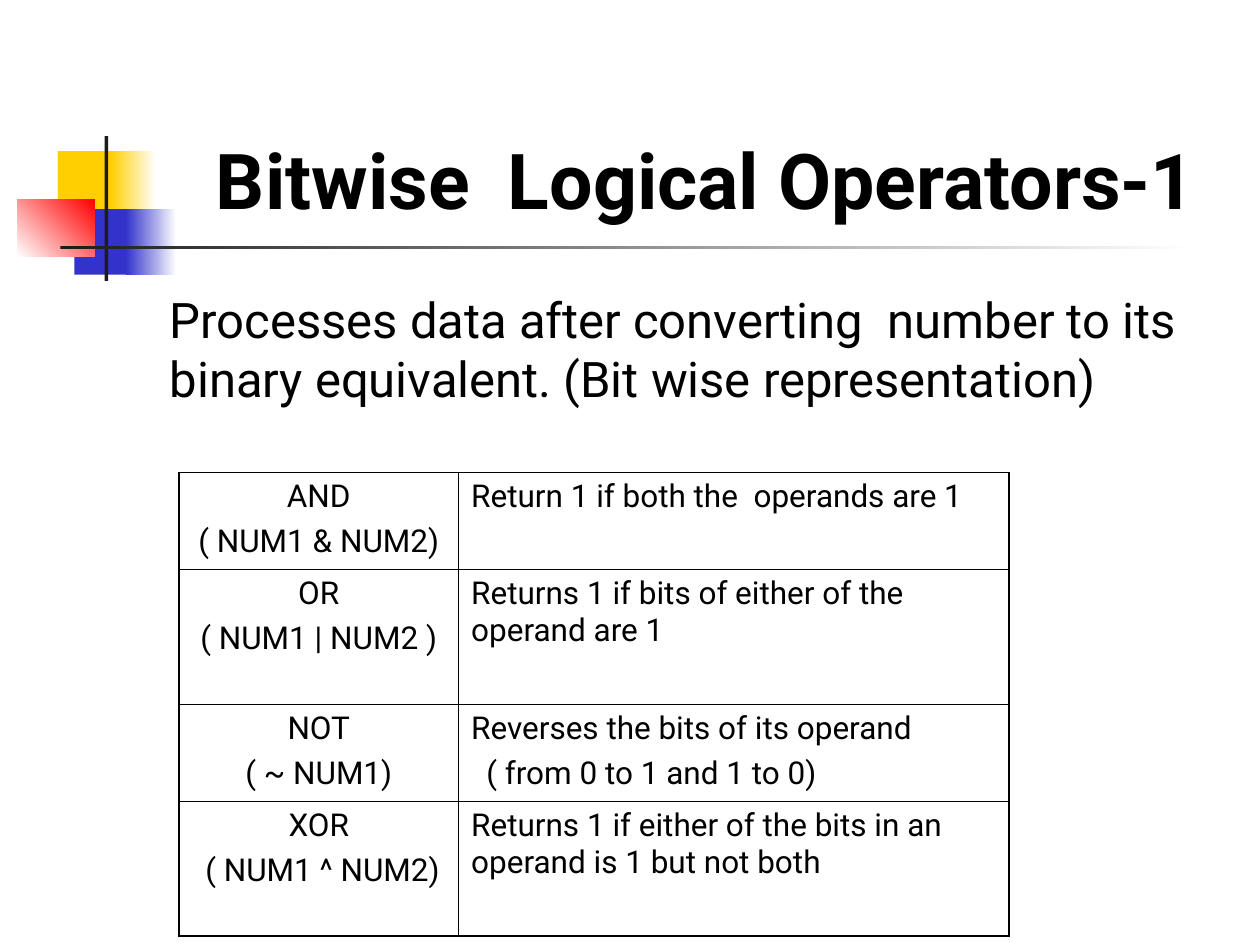
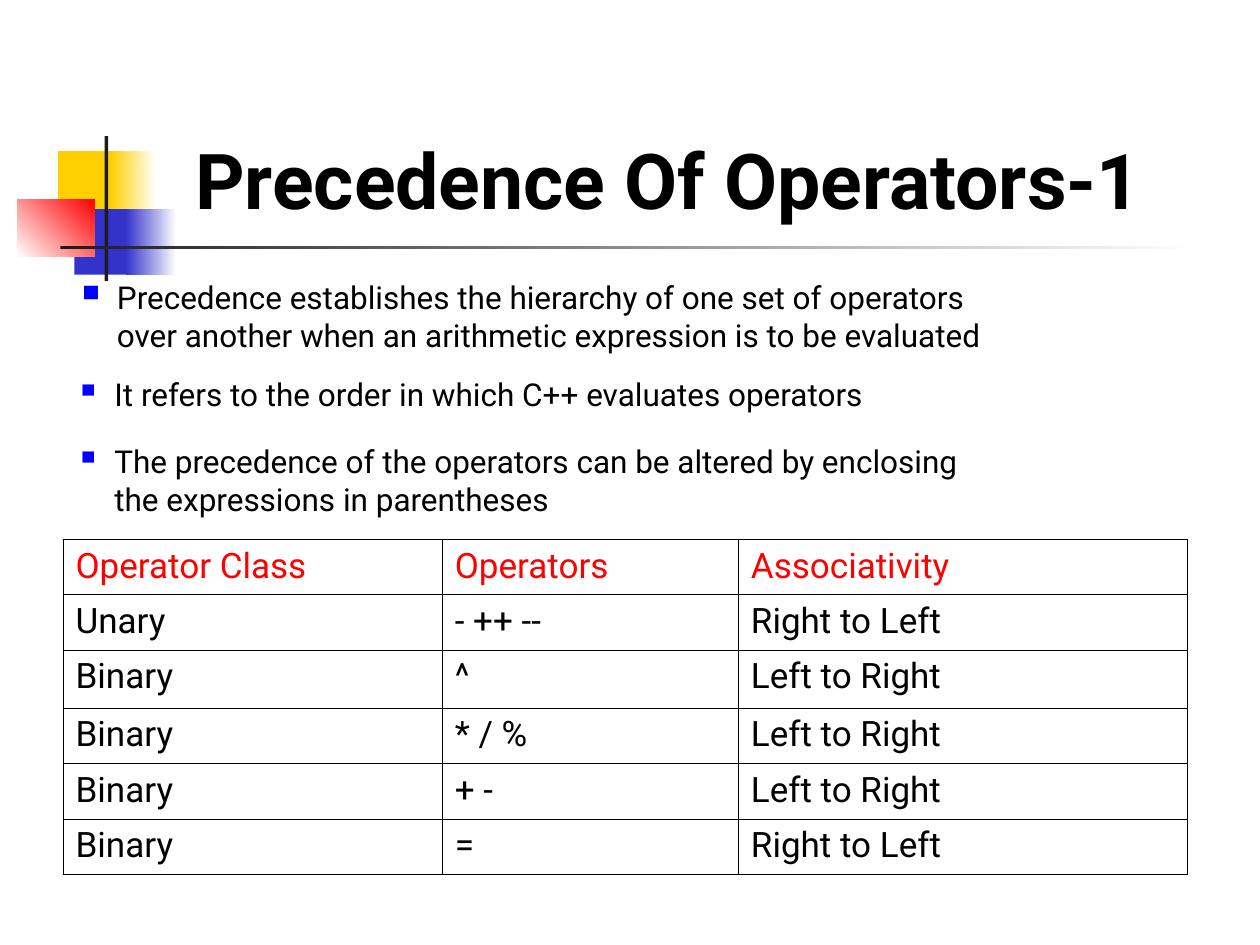
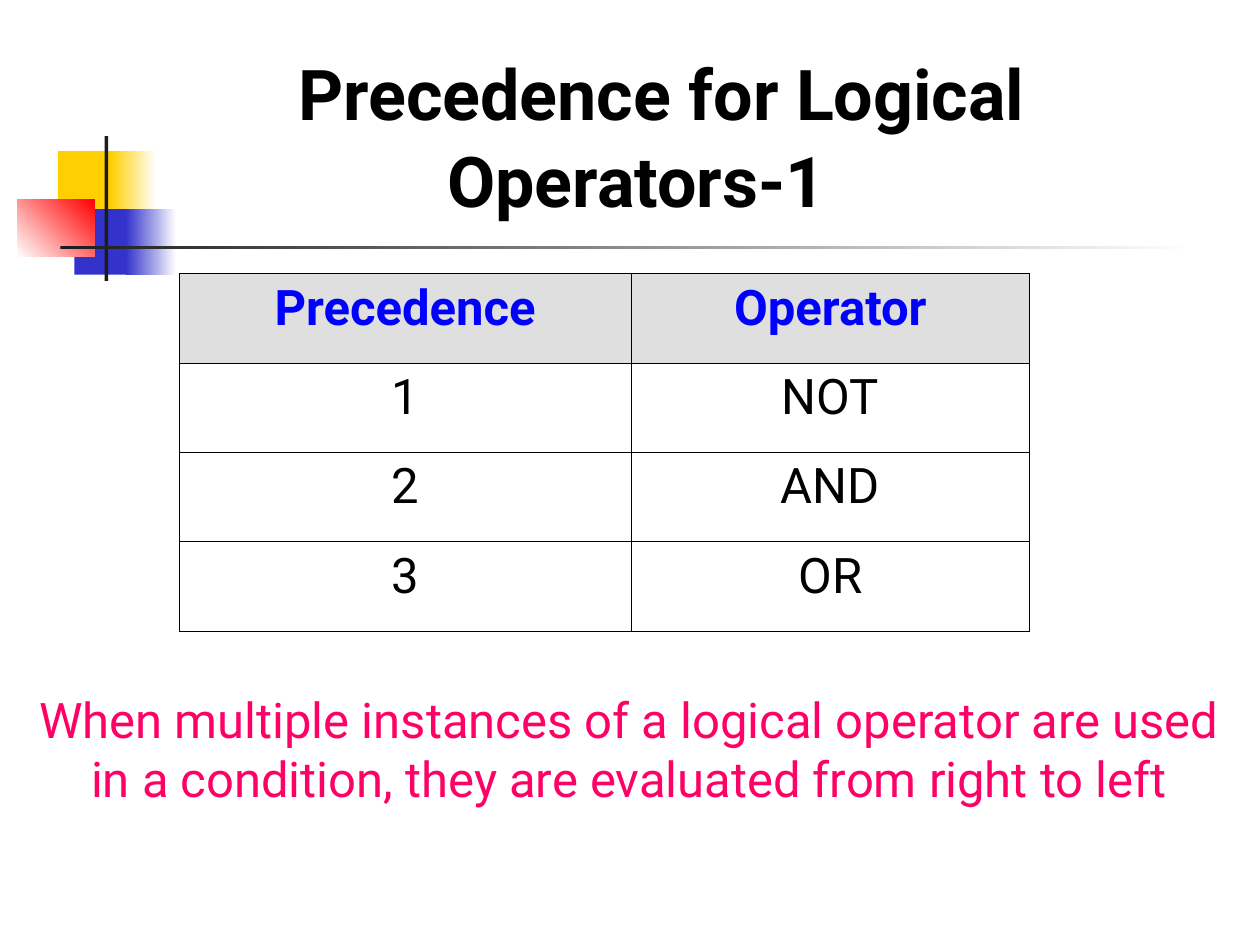
from lxml.etree import SubElement
from pptx import Presentation
from pptx.dml.color import RGBColor
from pptx.enum.shapes import MSO_SHAPE
from pptx.enum.text import MSO_ANCHOR, MSO_AUTO_SIZE, PP_ALIGN
from pptx.oxml.ns import qn
from pptx.util import Inches, Pt

COLORS = {
    "ink": "000000",
    "paper": "FFFFFF",
    "yellow": "FFCF01",
    "indigo": "3333CC",
    "red": "FF0000",
    "charcoal": "1C1C1C",
    "blue": "0000FF",
    "pink": "FF0066",
    "header": "DFDFDF",
}
FONT = "Roboto"
THIN, THICK = 0.45, 1.08
LEFT, CENTER = PP_ALIGN.LEFT, PP_ALIGN.CENTER


def rgb(name):
    return RGBColor.from_string(COLORS[name])


class Deck:
    """Holds the presentation, its text style and the slide being filled."""

    def __init__(self):
        self.presentation = Presentation()
        self.presentation.slide_width = Inches(10)
        self.presentation.slide_height = Inches(7.5)
        self.layout = self.presentation.slide_layouts[5]
        self.slide = None

    def new_slide(self):
        self.slide = self.presentation.slides.add_slide(self.layout)

    def block(self, box, start, end=None, angle=0):
        """Add a plain or fading rectangle to the layout all slides share."""
        shape = self.slide.shapes.add_shape(
            MSO_SHAPE.RECTANGLE, *map(Inches, box))
        shape.shadow.inherit = False
        shape.line.fill.background()
        if end:
            shape.fill.gradient()
            shape.fill.gradient_angle = angle
            stops = shape.fill.gradient_stops
            for stop, position, color in zip(stops, (0, 1), (start, end)):
                stop.position = position
                stop.color.rgb = rgb(color)
        else:
            shape.fill.solid()
            shape.fill.fore_color.rgb = rgb(start)
        self.layout.shapes.element.append(shape.element)

    def fill_frame(self, frame, paragraphs, size, color="ink", bold=False,
                   align=LEFT, before=0):
        """Fill a frame; a paragraph is a text or a (text, indent) pair."""
        for number, item in enumerate(paragraphs):
            text, indent = item if isinstance(item, tuple) else (item, 0)
            paragraph = (frame.add_paragraph() if number
                         else frame.paragraphs[0])
            paragraph.alignment = align
            paragraph.space_before = Pt(before)
            if indent:
                paragraph._p.get_or_add_pPr().set("marL", str(Inches(indent)))
            for line_number, line in enumerate(text.split("\n")):
                if line_number:
                    paragraph.add_line_break()
                run = paragraph.add_run()
                run.text = line
                run.font.name = FONT
                run.font.size = Pt(size)
                run.font.bold = bold
                run.font.color.rgb = rgb(color)

    def title(self, box, paragraphs, size=44, align=CENTER, before=0):
        heading = self.slide.shapes.title
        heading.left, heading.top, heading.width, heading.height = map(
            Inches, box)
        frame = heading.text_frame
        frame.auto_size = MSO_AUTO_SIZE.NONE
        frame.vertical_anchor = MSO_ANCHOR.TOP
        self.fill_frame(frame, paragraphs, size, bold=True, align=align,
                        before=before)

    def text(self, box, paragraphs, size, anchor=MSO_ANCHOR.TOP, **style):
        frame = self.slide.shapes.add_textbox(*map(Inches, box)).text_frame
        frame.word_wrap = True
        frame.vertical_anchor = anchor
        self.fill_frame(frame, paragraphs, size, **style)
        return frame

    def bullet(self, box, text, hang, percent):
        frame = self.text(box, [(text, hang)], 18)
        properties = frame.paragraphs[0]._p.get_or_add_pPr()
        properties.set("indent", str(-Inches(hang)))
        color = SubElement(properties, qn("a:buClr"))
        SubElement(color, qn("a:srgbClr"), val=COLORS["blue"])
        SubElement(properties, qn("a:buSzPct"), val=str(percent * 1000))
        SubElement(properties, qn("a:buChar"), char="▪")

    def table(self, left, top, widths, heights, rows, size, aligns,
              header=None, header_fill=None, before=0, edge=THIN):
        """Add a ruled table; each cell is a list of paragraphs."""
        table = self.slide.shapes.add_table(
            len(heights), len(widths), Inches(left), Inches(top),
            Inches(sum(widths)), Inches(sum(heights))).table
        table.first_row = table.horz_banding = False
        for column, width in zip(table.columns, widths):
            column.width = Inches(width)
        last_row, last_column = len(heights) - 1, len(widths) - 1
        for r, (height, row) in enumerate(zip(heights, rows)):
            table.rows[r].height = Inches(height)
            is_header = r == 0 and header is not None
            for c, paragraphs in enumerate(row):
                cell = table.cell(r, c)
                if is_header and header_fill:
                    cell.fill.solid()
                    cell.fill.fore_color.rgb = rgb(header_fill)
                else:
                    cell.fill.background()
                self.fill_frame(cell.text_frame, paragraphs, size,
                                color=header if is_header else "ink",
                                bold=bool(is_header and header_fill),
                                align=aligns[c], before=before)
                on_edge = {"L": c == 0, "R": c == last_column,
                           "T": r == 0, "B": r == last_row}
                self.rule_cell(cell, {side: edge if outer else THIN
                                      for side, outer in on_edge.items()})

    def rule_cell(self, cell, widths):
        properties = cell._tc.get_or_add_tcPr()
        for index, (side, width) in enumerate(widths.items()):
            line = SubElement(properties, qn(f"a:ln{side}"),
                              w=str(Pt(width)))
            fill = SubElement(line, qn("a:solidFill"))
            SubElement(fill, qn("a:srgbClr"), val=COLORS["ink"])
            properties.insert(index, line)


def decorate(deck):
    deck.block((0.46, 1.2, 0.48, 0.52), "yellow")
    deck.block((0.88, 1.2, 0.36, 0.52), "yellow", "paper")
    deck.block((0.59, 1.66, 0.46, 0.52), "indigo")
    deck.block((1, 1.66, 0.4, 0.52), "indigo", "paper")
    deck.block((0.14, 1.58, 0.61, 0.46), "paper", "red", angle=45)
    deck.block((0.83, 1.08, 0.03, 1.15), "charcoal")
    deck.block((0.48, 1.95, 9, 0.03), "charcoal", "paper")


def bitwise_operators(deck):
    deck.title((0.8, 1, 9.61, 0.84), ["Bitwise  Logical Operators-1"])
    deck.text((1.25, 2.25, 8.25, 1.1),
              ["Processes data after converting  number to its binary "
               "equivalent. (Bit wise representation)"], 28)
    operators = [
        [["AND", "( NUM1 & NUM2)"],
         ["Return 1 if both the  operands are 1"]],
        [["OR", "( NUM1 | NUM2 )"],
         ["Returns 1 if bits of either of the operand are 1"]],
        [["NOT", "( ~ NUM1)"],
         ["Reverses the bits of its operand",
          ("( from 0 to 1 and 1 to 0)", 0.12)]],
        [["XOR", ("( NUM1 ^ NUM2)", 0.06)],
         ["Returns 1 if either of the bits in an operand is 1 "
          "but not both"]],
    ]
    deck.table(1.42, 3.75, (2.22, 4.37), (0.77, 1.07) * 2, operators, 18,
               (CENTER, LEFT), before=4.5, edge=THICK)


def operator_precedence(deck):
    deck.title((1.45, 1, 8.42, 0.84), ["Precedence Of Operators-1"],
               align=LEFT)
    points = [
        (2.16, 0.33, 133,
         "Precedence establishes the hierarchy of one set of operators\n"
         "over another when an arithmetic expression is to be evaluated"),
        (2.93, 0.31, 110,
         "It refers to the order in which C++ evaluates operators"),
        (3.46, 0.31, 110,
         "The precedence of the operators can be altered by enclosing\n"
         "the expressions in parentheses"),
    ]
    for top, hang, percent, text in points:
        height = 0.4 + 0.3 * text.count("\n")
        deck.bullet((0.5, top, 9.5, height), text, hang, percent)

    classes = [
        ("Operator Class", "Operators", "Associativity"),
        ("Unary", "- ++ --", "Right to Left"),
        ("Binary", "^", "Left to Right"),
        ("Binary", "* / %", "Left to Right"),
        ("Binary", "+ -", "Left to Right"),
        ("Binary", "=", "Right to Left"),
    ]
    deck.table(0.5, 4.28, (3.01, 2.35, 3.56),
               (0.44, 0.44, 0.46, 0.44, 0.44, 0.44),
               [[[text] for text in row] for row in classes], 20,
               (LEFT,) * 3, header="red")


def logical_precedence(deck):
    deck.title((0, 0.35, 10, 1.47),
               [("Precedence for Logical", 0.5), ("Operators-1", 0.1)],
               size=40, before=2)
    ranks = [("Precedence", "Operator"), ("1", "NOT"), ("2", "AND"),
             ("3", "OR")]
    deck.table(1.42, 2.17, (3.59, 3.16), (0.71,) * 4,
               [[[text] for text in row] for row in ranks], 28,
               (CENTER,) * 2, header="blue", header_fill="header")
    deck.text((0.2, 5.19, 9.58, 1.5),
              ["When multiple instances of a logical operator are used in a "
               "condition, they are evaluated from right to left"], 28,
              anchor=MSO_ANCHOR.MIDDLE, color="pink", align=CENTER)


def main():
    deck = Deck()
    for number, fill_slide in enumerate(
            (bitwise_operators, operator_precedence, logical_precedence)):
        deck.new_slide()
        if number == 0:
            decorate(deck)
        fill_slide(deck)
    deck.presentation.save("out.pptx")


if __name__ == "__main__":
    main()
